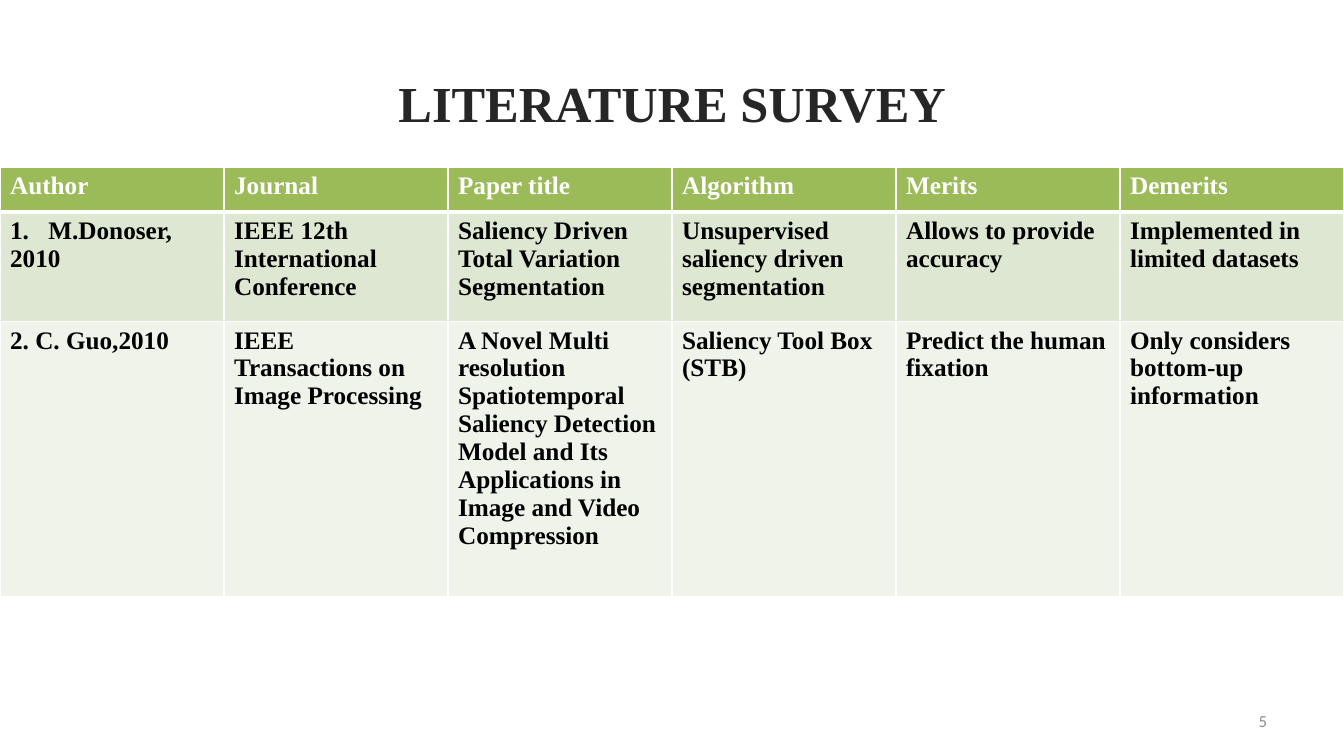
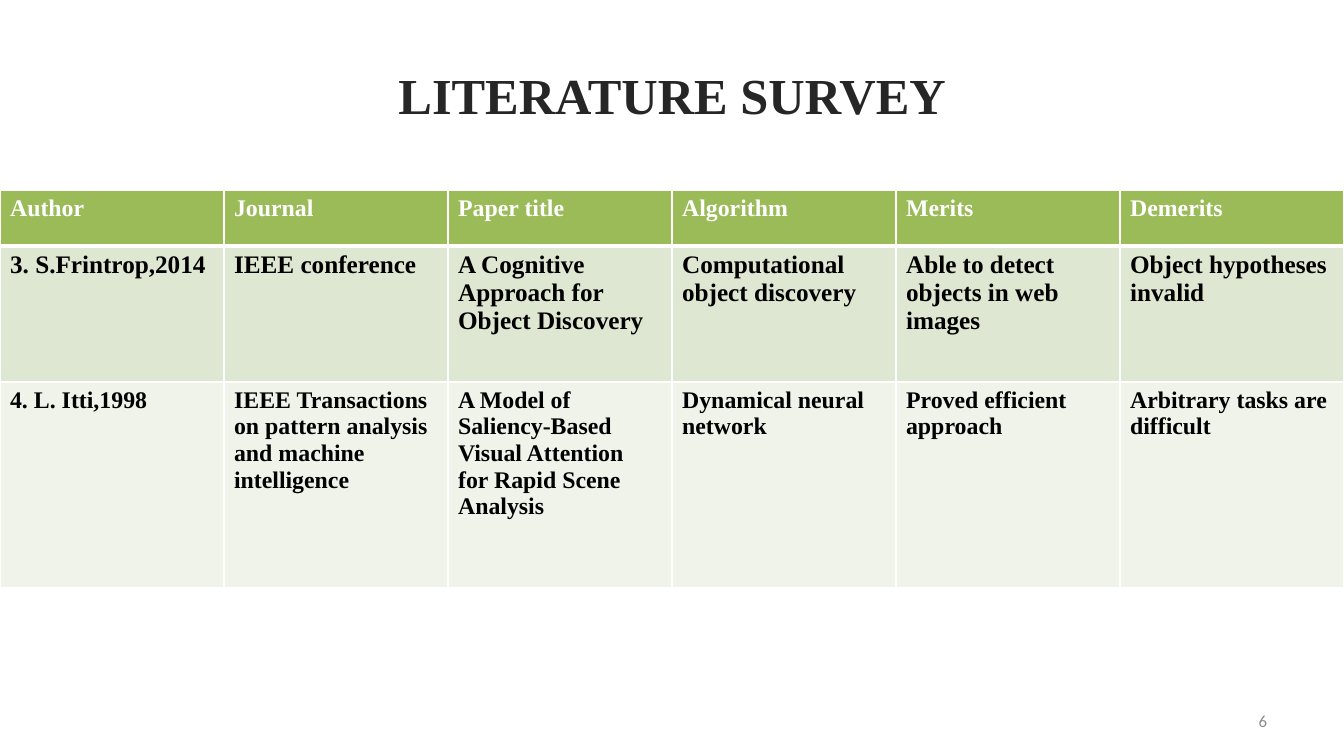
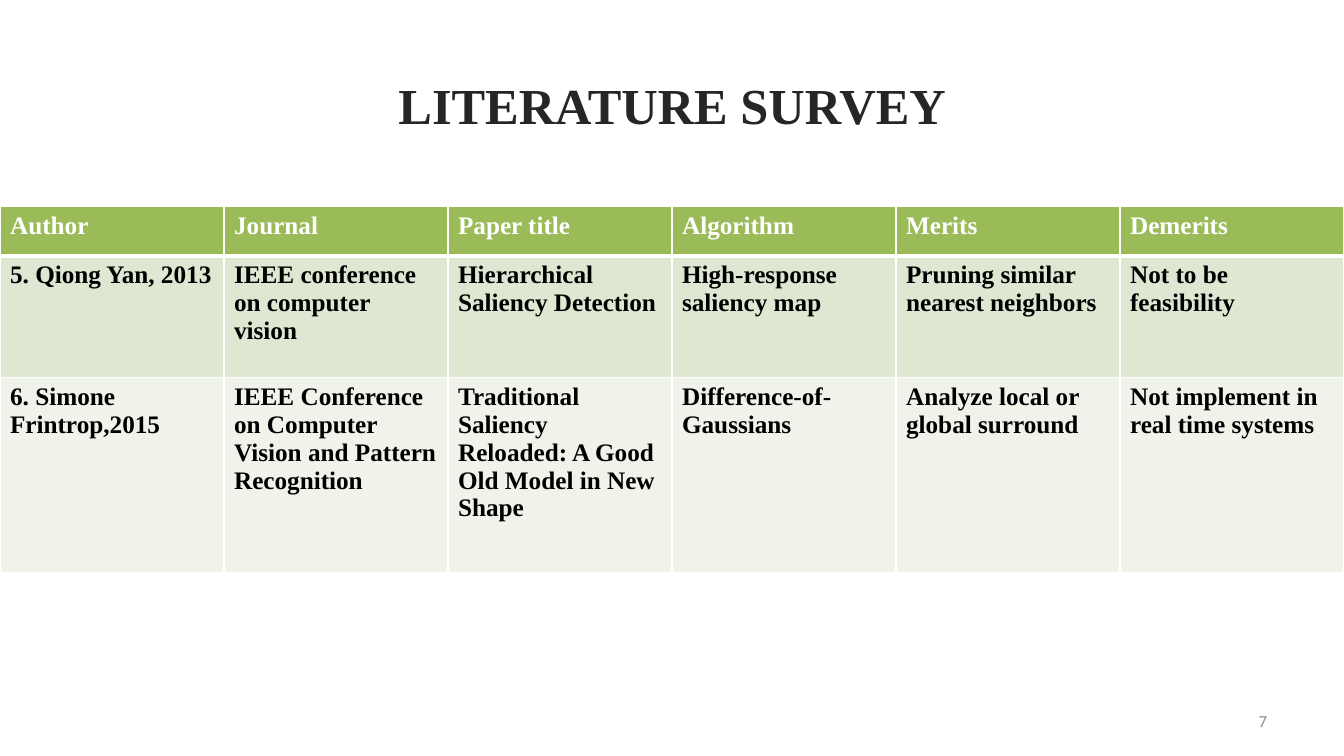
from copy import deepcopy
from dataclasses import dataclass

from lxml.etree import SubElement
from pptx import Presentation
from pptx.dml.color import RGBColor
from pptx.enum.text import MSO_ANCHOR, MSO_AUTO_SIZE, PP_ALIGN
from pptx.oxml.ns import qn
from pptx.util import Inches, Pt


@dataclass(frozen=True)
class Theme:
    serif: str = "Times New Roman"
    sans: str = "Calibri"
    title: str = "262626"
    number: str = "8C8C8C"
    head: str = "9BBB59"
    bands: tuple[str, ...] = ("DEE7D1", "EFF3EA")
    ink: str = "000000"
    white: str = "FFFFFF"
    big: int = 36
    text: int = 18
    tight: int = 17
    small: int = 12
    thin: int = 1
    thick: int = 3


@dataclass(frozen=True)
class Row:
    cells: tuple[str, ...]
    size: int
    high: float
    listed: bool = False


@dataclass(frozen=True)
class Page:
    number: int
    title: float
    top: float
    head: int
    high: float
    rows: tuple[Row, ...]


THEME = Theme()
WIDE, TALL = Inches(13.33), Inches(7.5)
HEADS = ("Author", "Journal", "Paper title", "Algorithm", "Merits", "Demerits")

PAGES = (
    Page(5, 8.27, 22.13, THEME.text, 5.87, (
        Row(("M.Donoser,\n2010",
             "IEEE 12th International Conference",
             "Saliency Driven Total Variation Segmentation",
             "Unsupervised saliency driven segmentation",
             "Allows to provide accuracy",
             "Implemented in limited datasets"), THEME.text, 14.53, True),
        Row(("2. C. Guo,2010",
             "IEEE Transactions on Image Processing",
             "A Novel Multi resolution Spatiotemporal Saliency Detection "
             "Model and Its Applications in Image and Video Compression",
             "Saliency Tool Box (STB)",
             "Predict the human fixation",
             "Only considers bottom-up information"), THEME.text, 36.4),
    )),
    Page(6, 7.2, 25.2, THEME.tight, 7.33, (
        Row(("3. S.Frintrop,2014",
             "IEEE conference",
             "A Cognitive Approach for Object Discovery",
             "Computational object discovery",
             "Able to detect objects in web images",
             "Object hypotheses invalid"), THEME.text, 18),
        Row(("4. L. Itti,1998",
             "IEEE Transactions on pattern analysis and machine intelligence",
             "A Model of Saliency-Based Visual Attention\n"
             "for Rapid Scene Analysis",
             "Dynamical neural network",
             "Proved efficient approach",
             "Arbitrary tasks are difficult"), THEME.tight, 27.2),
    )),
    Page(7, 8.53, 27.33, THEME.text, 6.53, (
        Row(("5. Qiong Yan, 2013",
             "IEEE conference on computer vision",
             "Hierarchical Saliency Detection",
             "High-response saliency map",
             "Pruning similar\nnearest neighbors",
             "Not to be feasibility"), THEME.text, 16.13),
        Row(("6. Simone Frintrop,2015",
             "IEEE Conference on Computer Vision and Pattern Recognition",
             "Traditional Saliency Reloaded: A Good Old Model in New Shape",
             "Difference-of-\nGaussians",
             "Analyze local or global surround",
             "Not implement in real time systems"), THEME.text, 25.73),
    )),
)


def across(share: float) -> int:
    return round(WIDE * share / 100)


def down(share: float) -> int:
    return round(TALL * share / 100)


def place(shape, left: float, top: float, width: float, height: float) -> None:
    shape.left, shape.top = across(left), down(top)
    shape.width, shape.height = across(width), down(height)


def write(frame, text: str, face: str, size: int, color: str,
          bold: bool = True, align=PP_ALIGN.LEFT) -> None:
    frame.text = text
    frame.word_wrap = True
    for para in frame.paragraphs:
        para.alignment = align
        para.font.name = face
        para.font.size = Pt(size)
        para.font.bold = bold
        para.font.color.rgb = RGBColor.from_string(color)


def border(cell, top: int, bottom: int) -> None:
    props = cell._tc.get_or_add_tcPr()
    sides = {"lnL": THEME.thin, "lnR": THEME.thin, "lnT": top, "lnB": bottom}
    for side, width in sides.items():
        line = SubElement(props, qn(f"a:{side}"), w=str(Pt(width)))
        fill = SubElement(line, qn("a:solidFill"))
        SubElement(fill, qn("a:srgbClr"), val=THEME.white)


def listing(frame) -> None:
    for para in frame.paragraphs:
        props = para._p.get_or_add_pPr()
        props.set("marL", str(Inches(0.38)))
        props.set("indent", str(-Inches(0.38)))
    first = frame.paragraphs[0]._p.get_or_add_pPr()
    SubElement(first, qn("a:buFont"), typeface="+mj-lt")
    first.append(first.makeelement(qn("a:buAutoNum"), {"type": "arabicPeriod"}))
    runs = first.find(qn("a:defRPr"))
    if runs is not None:
        first.append(runs)


def grid(slide, page: Page) -> None:
    rows = (Row(HEADS, page.head, page.high), *page.rows)
    fills = (THEME.head, *THEME.bands)
    total = sum(row.high for row in rows)
    table = slide.shapes.add_table(
        len(rows), len(HEADS), 0, down(page.top), WIDE, down(total)).table
    for r, (row, fill) in enumerate(zip(rows, fills)):
        table.rows[r].height = down(row.high)
        for c, text in enumerate(row.cells):
            cell = table.cell(r, c)
            write(cell.text_frame, text, THEME.serif, row.size,
                  THEME.ink if r else THEME.white)
            border(cell, THEME.thick if r == 1 else THEME.thin,
                   THEME.thin if r else THEME.thick)
            cell.fill.solid()
            cell.fill.fore_color.rgb = RGBColor.from_string(fill)
    if rows[1].listed:
        listing(table.cell(1, 0).text_frame)


def heading(slide, top: float) -> None:
    title = slide.shapes.title
    place(title, 10.65, top, 78.75, 19.07)
    frame = title.text_frame
    write(frame, "LITERATURE SURVEY", THEME.serif, THEME.big, THEME.title,
          align=PP_ALIGN.CENTER)
    frame.auto_size = MSO_AUTO_SIZE.NONE
    frame.vertical_anchor = MSO_ANCHOR.TOP
    frame.margin_top = Inches(0.1)


def footer(slide, layout, number: int) -> None:
    model = next(s for s in layout.placeholders
                 if s.placeholder_format.idx == 12)
    slide.shapes._spTree.append(deepcopy(model._element))
    shape = next(s for s in slide.placeholders
                 if s.placeholder_format.idx == 12)
    place(shape, 71.7, 92.67, 23.33, 5.33)
    write(shape.text_frame, str(number), THEME.sans, THEME.small,
          THEME.number, False, PP_ALIGN.RIGHT)
    shape.text_frame.vertical_anchor = MSO_ANCHOR.MIDDLE


def main() -> None:
    deck = Presentation()
    deck.slide_width, deck.slide_height = WIDE, TALL
    layout = deck.slide_layouts[5]
    for page in PAGES:
        slide = deck.slides.add_slide(layout)
        heading(slide, page.title)
        footer(slide, layout, page.number)
        grid(slide, page)
    deck.save("out.pptx")


if __name__ == "__main__":
    main()
